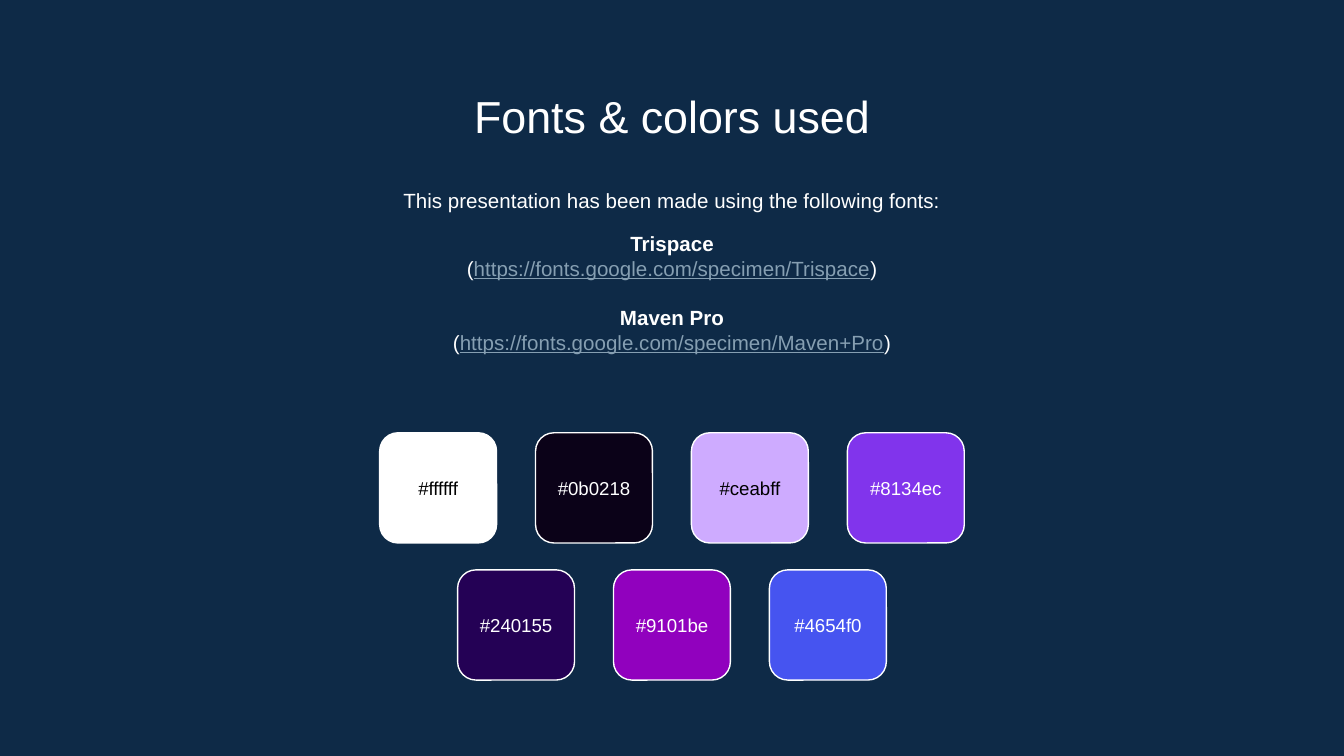
import pptx
import pptx.dml.color
import pptx.enum.shapes
import pptx.enum.text
import pptx.util

Inches = pptx.util.Inches
Pt = pptx.util.Pt
CENTER = pptx.enum.text.PP_ALIGN.CENTER


def color(value):
    return pptx.dml.color.RGBColor.from_string(value)


def style(paragraph, size, value="FFFFFF", bold=False):
    paragraph.alignment = CENTER
    paragraph.font.name = "Arial"
    paragraph.font.size = Pt(size)
    paragraph.font.bold = bold
    paragraph.font.color.rgb = color(value)


presentation = pptx.Presentation()
presentation.slide_width = Inches(10)
presentation.slide_height = Inches(10 * 9 / 16)
slide = presentation.slides.add_slide(presentation.slide_layouts[6])
slide.background.fill.solid()
slide.background.fill.fore_color.rgb = color("0E2A47")

frames = []
for top, height in [(0.56, 0.53), (1.3, 1.6)]:
    frame = slide.shapes.add_textbox(
        Inches(0.79), Inches(top), Inches(8.42), Inches(height)).text_frame
    frame.word_wrap = True
    frame.margin_left = frame.margin_right = Inches(0.1)
    frame.margin_top = frame.margin_bottom = Inches(0.1)
    frames.append(frame)
title, body = frames

title.text = "Fonts & colors used"
style(title.paragraphs[0], 24)

body.text = "This presentation has been made using the following fonts:"
style(body.paragraphs[0], 11)

fonts = [
    ("Trispace", "https://fonts.google.com/specimen/Trispace", 10),
    ("Maven Pro", "https://fonts.google.com/specimen/Maven+Pro", 13),
]
for name, address, space in fonts:
    paragraph = body.add_paragraph()
    paragraph.text = name
    paragraph.space_before = Pt(space)
    style(paragraph, 11, bold=True)

    paragraph = body.add_paragraph()
    style(paragraph, 11)
    for text in ["(", address, ")"]:
        run = paragraph.add_run()
        run.text = text
        if text == address:
            run.font.underline = True
            run.font.color.rgb = color("869FB2")

swatch_width, swatch_height = 0.87, 0.82
pitch = 1.16
rows = [
    (3.22, ["#ffffff", "#0b0218", "#ceabff", "#8134ec"]),
    (4.24, ["#240155", "#9101be", "#4654f0"]),
]
light_swatches = ["#ffffff", "#ceabff"]
for top, codes in rows:
    row_width = pitch * (len(codes) - 1) + swatch_width
    left = (10 - row_width) / 2
    for column, code in enumerate(codes):
        swatch = slide.shapes.add_shape(
            pptx.enum.shapes.MSO_SHAPE.ROUNDED_RECTANGLE,
            Inches(left + column * pitch), Inches(top),
            Inches(swatch_width), Inches(swatch_height))
        swatch.shadow.inherit = False
        swatch.fill.solid()
        swatch.fill.fore_color.rgb = color(code[1:].upper())
        swatch.line.color.rgb = color("FFFFFF")
        swatch.line.width = Pt(0.75)
        frame = swatch.text_frame
        frame.margin_left = frame.margin_right = 0
        frame.vertical_anchor = pptx.enum.text.MSO_ANCHOR.MIDDLE
        frame.text = code
        style(frame.paragraphs[0], 10, "000000" if code in light_swatches else "FFFFFF")

presentation.save("out.pptx")
